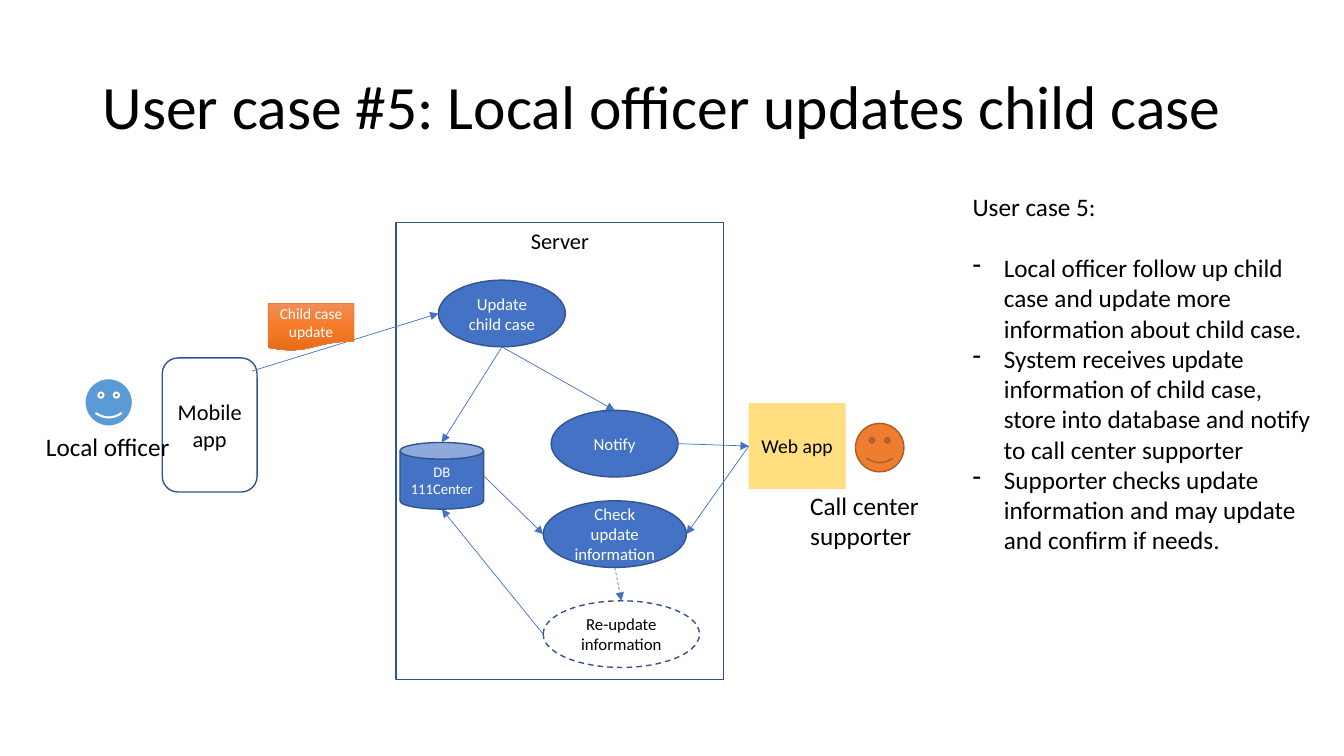
from dataclasses import dataclass

from lxml.etree import SubElement
from pptx import Presentation
from pptx.dml.color import RGBColor
from pptx.enum.dml import MSO_LINE_DASH_STYLE as Dash
from pptx.enum.shapes import MSO_CONNECTOR as Link, MSO_SHAPE as Kind
from pptx.enum.text import MSO_ANCHOR as Anchor, MSO_AUTO_SIZE as Fit, PP_ALIGN as Align
from pptx.oxml.ns import qn
from pptx.util import Cm, Pt


@dataclass(frozen=True)
class Theme:
    font: str = "Calibri"
    black: str = "000000"
    white: str = "FFFFFF"
    blue: str = "4472C4"
    outline: str = "325491"
    sky: str = "5B9BD5"
    orange: str = "ED7D31"
    rust: str = "AF5C24"
    amber: str = "FFC000"
    message: tuple = ((0, "F18C57"), (50, "F67B28"), (100, "E56C19"))
    title: float = 44
    body: float = 18
    system: float = 16
    web: float = 14
    step: float = 12
    note: float = 11
    store: float = 10.5


THEME = Theme()
STEP_HEIGHT = 1.68
FACE_SIZE = 1.22


def rgb(value):
    return RGBColor.from_string(value)


def add_text(frame, *lines, size=THEME.body, color=THEME.black, align=Align.LEFT,
             anchor=Anchor.TOP, fit=Fit.NONE, spacing=None):
    """Fill a text frame with one paragraph per line and return the paragraphs."""
    frame.word_wrap = True
    frame.auto_size = fit
    frame.vertical_anchor = anchor
    for index, line in enumerate(lines):
        para = frame.add_paragraph() if index else frame.paragraphs[0]
        para.alignment = align
        para.line_spacing = spacing
        span = para.add_run()
        span.text = line
        span.font.name = THEME.font
        span.font.size = Pt(size)
        span.font.color.rgb = rgb(color)
    return frame.paragraphs


def add_node(page, kind, area, text=None, fill=None, line=THEME.outline, weight=1,
             dash=None, size=THEME.step, color=THEME.white, anchor=Anchor.MIDDLE):
    node = page.shapes.add_shape(kind, *map(Cm, area))
    node.shadow.inherit = False
    if fill:
        node.fill.solid()
        node.fill.fore_color.rgb = rgb(fill)
    else:
        node.fill.background()
    if line:
        node.line.color.rgb = rgb(line)
        node.line.width = Pt(weight)
        node.line.dash_style = dash
    else:
        node.line.fill.background()
    if text:
        add_text(node.text_frame, text, size=size, color=color,
                 align=Align.CENTER, anchor=anchor)
    return node


def add_label(page, area, *lines):
    box = page.shapes.add_textbox(*map(Cm, area))
    return add_text(box.text_frame, *lines, fit=Fit.SHAPE_TO_FIT_TEXT)


def side(node, name):
    """Middle point of one side of a node."""
    across, down = {"top": (0.5, 0), "left": (0, 0.5),
                    "bottom": (0.5, 1), "right": (1, 0.5)}[name]
    return int(node.left + across * node.width), int(node.top + down * node.height)


def add_arrow(page, start, end, dash=None):
    arrow = page.shapes.add_connector(Link.STRAIGHT, *start, *end)
    arrow.line.color.rgb = rgb(THEME.blue)
    arrow.line.width = Pt(0.5)
    arrow.line.dash_style = dash
    SubElement(arrow.line._get_or_add_ln(), qn("a:tailEnd"), type="triangle")
    SubElement(arrow._element.spPr, qn("a:effectLst"))


def set_gradient(node, stops):
    node.fill.gradient()
    node.fill.gradient_angle = 270
    stop_list = node._element.spPr.find(".//" + qn("a:gsLst"))
    for old in list(stop_list):
        stop_list.remove(old)
    for percent, color in stops:
        stop = SubElement(stop_list, qn("a:gs"), pos=str(percent * 1000))
        SubElement(stop, qn("a:srgbClr"), val=color)


def set_opacity(node, percent):
    color = node._element.spPr.find(".//" + qn("a:srgbClr"))
    SubElement(color, qn("a:alpha"), val=str(percent * 1000))


def set_dash_bullet(para):
    props = para._p.get_or_add_pPr()
    props.set("marL", str(Cm(0.79)))
    props.set("indent", str(-Cm(0.79)))
    SubElement(props, qn("a:buChar"), char="-")


def add_title(page, text):
    title = page.shapes.title
    title.left, title.top, title.width, title.height = map(Cm, (2.33, 0.93, 29.21, 3.68))
    add_text(title.text_frame, text, size=THEME.title, anchor=Anchor.MIDDLE, spacing=0.9)


def add_step(page, left, top, width, text, fill=THEME.blue, **style):
    return add_node(page, Kind.OVAL, (left, top, width, STEP_HEIGHT), text, fill, **style)


def add_face(page, left, top, **style):
    add_node(page, Kind.SMILEY_FACE, (left, top, FACE_SIZE, FACE_SIZE), **style)


def add_flow(page):
    # Systems
    add_node(page, Kind.RECTANGLE, (9.98, 5.61, 8.26, 11.51), "Server",
             size=THEME.system, color=THEME.black, anchor=Anchor.TOP)
    add_node(page, Kind.ROUNDED_RECTANGLE, (4.09, 9.02, 2.39, 3.38), "Mobile app",
             size=THEME.system, color=THEME.black)
    web = add_node(page, Kind.RECTANGLE, (18.87, 10.16, 2.44, 2.16), "Web app",
                   fill=THEME.amber, line=None, size=THEME.web, color=THEME.black)
    set_opacity(web, 50)

    # Steps and database on the server
    update = add_step(page, 11.05, 7.06, 3.2, "Update child case")
    notify = add_step(page, 13.89, 10.34, 3.2, "Notify")
    check = add_step(page, 13.69, 12.62, 3.61, "Check update information")
    redo = add_step(page, 13.69, 15.14, 3.94, "Re-update information",
                    fill=None, color=THEME.black, dash=Dash.DASH)
    store = add_node(page, Kind.CAN, (10.08, 11.15, 2.11, STEP_HEIGHT), "DB 111Center",
                     fill=THEME.blue, size=THEME.store)

    # Arrows
    add_arrow(page, (Cm(6.35), Cm(9.35)), side(update, "left"))
    for source, exit_side, target, entry_side, dash in (
        (update, "bottom", store, "top", None),
        (update, "bottom", notify, "top", None),
        (notify, "right", web, "left", None),
        (web, "left", check, "right", None),
        (store, "right", check, "left", None),
        (redo, "left", store, "bottom", None),
        (check, "bottom", redo, "top", Dash.DASH),
    ):
        add_arrow(page, side(source, exit_side), side(target, entry_side), dash)

    # Message on its way to the server
    message = add_node(page, Kind.FLOWCHART_DOCUMENT, (6.76, 7.65, 2.16, 1.19),
                       "Child case update", line=THEME.orange, weight=0.5,
                       size=THEME.note)
    set_gradient(message, THEME.message)


def add_people(page):
    add_face(page, 2.13, 9.53, fill=THEME.sky, line=THEME.white, weight=1.5)
    add_label(page, (0.91, 10.74, 4.83, 1.02), "Local officer")
    add_face(page, 21.56, 10.67, fill=THEME.orange, line=THEME.rust)
    add_label(page, (20.17, 12.22, 4.32, 1.8), "Call center supporter")


def add_description(page):
    heading, *points = add_label(
        page, (24.26, 4.7, 9.12, 9.5),
        "User case 5:",
        "Local officer follow up child case and update more information about child case.",
        "System receives update information of child case, store into database "
        "and notify to call center supporter",
        "Supporter checks update information and may update and confirm if needs.",
    )
    heading.space_after = Pt(22)
    for point in points:
        set_dash_bullet(point)


def main():
    deck = Presentation()
    deck.slide_width, deck.slide_height = Cm(33.87), Cm(19.05)
    page = deck.slides.add_slide(deck.slide_layouts[5])
    add_title(page, "User case #5: Local officer updates child case")
    add_flow(page)
    add_people(page)
    add_description(page)
    deck.save("out.pptx")


main()
